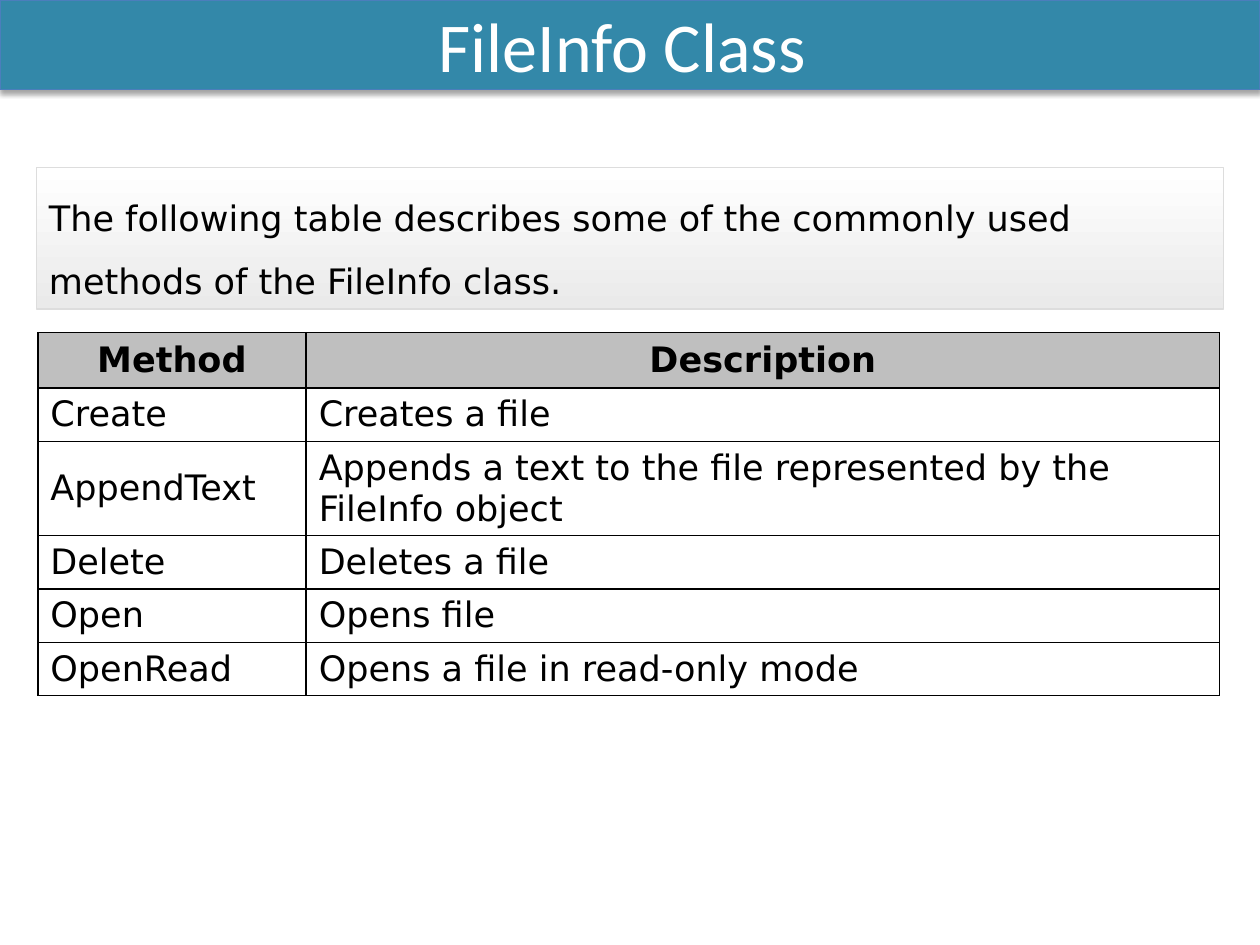
from lxml import etree
from pptx import Presentation
from pptx.dml.color import RGBColor
from pptx.enum.shapes import MSO_SHAPE
from pptx.enum.text import MSO_ANCHOR, PP_ALIGN
from pptx.oxml import parse_xml
from pptx.oxml.ns import nsdecls, qn
from pptx.util import Inches, Pt

RECTANGLE = MSO_SHAPE.RECTANGLE
MIDDLE = MSO_ANCHOR.MIDDLE
LEFT, CENTER = PP_ALIGN.LEFT, PP_ALIGN.CENTER

METHODS = [
    ("Method", "Description"),
    ("Create", "Creates a file"),
    ("AppendText", "Appends a text to the file represented by the FileInfo object"),
    ("Delete", "Deletes a file"),
    ("Open", "Opens file"),
    ("OpenRead", "Opens a file in read-only mode"),
]


def color(value):
    return RGBColor.from_string(value)


class SlideBuilder:
    """Holds the text style and the slide being filled."""

    body_font, body_size = "DejaVu Sans", 20
    title_font, title_size = "Calibri", 40
    ink, header_fill = "000000", "BFBFBF"

    def __init__(self, slide):
        self.slide = slide

    def set_text(self, frame, text, font, size, ink, align=LEFT, bold=False):
        frame.word_wrap = True
        para = frame.paragraphs[0]
        para.text = text
        para.alignment = align
        para.font.name = font
        para.font.size = Pt(size)
        para.font.bold = bold
        para.font.color.rgb = color(ink)
        return para

    def box(self, left, top, width, height, line, line_width):
        box = self.slide.shapes.add_shape(
            RECTANGLE, Inches(left), Inches(top), Inches(width), Inches(height))
        box.shadow.inherit = False
        box.line.color.rgb = color(line)
        box.line.width = Pt(line_width)
        box.text_frame.vertical_anchor = MIDDLE
        return box

    def shadow(self, shape, ink, opacity, blur, distance, angle):
        effects = shape._element.spPr.find(qn("a:effectLst"))
        outer = etree.SubElement(
            effects, qn("a:outerShdw"), blurRad=str(Pt(blur)), dist=str(Pt(distance)),
            dir=str(angle * 60000), algn="t", rotWithShape="0")
        shade = etree.SubElement(outer, qn("a:srgbClr"), val=ink)
        etree.SubElement(shade, qn("a:alpha"), val=str(opacity * 1000))

    def title(self, text):
        bar = self.box(0, 0, 10, 0.71, "4B7EBC", 0.75)
        bar.fill.solid()
        bar.fill.fore_color.rgb = color("3388A9")
        self.shadow(bar, self.ink, 35, 3.1, 1.8, 90)
        self.set_text(bar.text_frame, text, self.title_font, self.title_size, "FFFFFF", CENTER)

    def intro(self, text):
        panel = self.box(0.29, 1.33, 9.42, 1.12, "DDDDDD", 1)
        panel.fill.gradient()
        panel.fill.gradient_angle = 270
        for stop, position, shade in zip(
                panel.fill.gradient_stops, (0, 1), ("FFFFFF", "EAEAEA")):
            stop.position = position
            stop.color.rgb = color(shade)
        para = self.set_text(panel.text_frame, text, self.body_font, self.body_size, self.ink)
        para.line_spacing = 1.5

    def borders(self, cell):
        properties = cell._tc.get_or_add_tcPr()
        for side in "LRTB":
            properties.append(parse_xml(
                f'<a:ln{side} {nsdecls("a")} w="{Pt(1)}"><a:solidFill>'
                f'<a:srgbClr val="{self.ink}"/></a:solidFill></a:ln{side}>'))

    def table(self, rows, left, top, widths, header_height, row_height):
        heights = [header_height] + [row_height] * (len(rows) - 1)
        table = self.slide.shapes.add_table(
            len(rows), len(widths), Inches(left), Inches(top),
            Inches(sum(widths)), Inches(sum(heights))).table
        table.first_row = table.horz_banding = False
        for column, width in zip(table.columns, widths):
            column.width = Inches(width)
        for number, (texts, height) in enumerate(zip(rows, heights)):
            table.rows[number].height = Inches(height)
            header = number == 0
            for cell, text in zip(table.rows[number].cells, texts):
                cell.vertical_anchor = MIDDLE
                self.borders(cell)
                if header:
                    cell.fill.solid()
                    cell.fill.fore_color.rgb = color(self.header_fill)
                else:
                    cell.fill.background()
                self.set_text(cell.text_frame, text, self.body_font, self.body_size,
                              self.ink, CENTER if header else LEFT, header)


def main():
    deck = Presentation()
    deck.slide_width, deck.slide_height = Inches(10), Inches(7.5)
    page = SlideBuilder(deck.slides.add_slide(deck.slide_layouts[6]))
    page.table(METHODS, 0.3, 2.64, (2.13, 7.25), 0.44, 0.37)
    page.title("FileInfo Class ")
    page.intro("The following table describes some of the commonly used "
               "methods of the FileInfo class.")
    deck.save("out.pptx")


if __name__ == "__main__":
    main()
